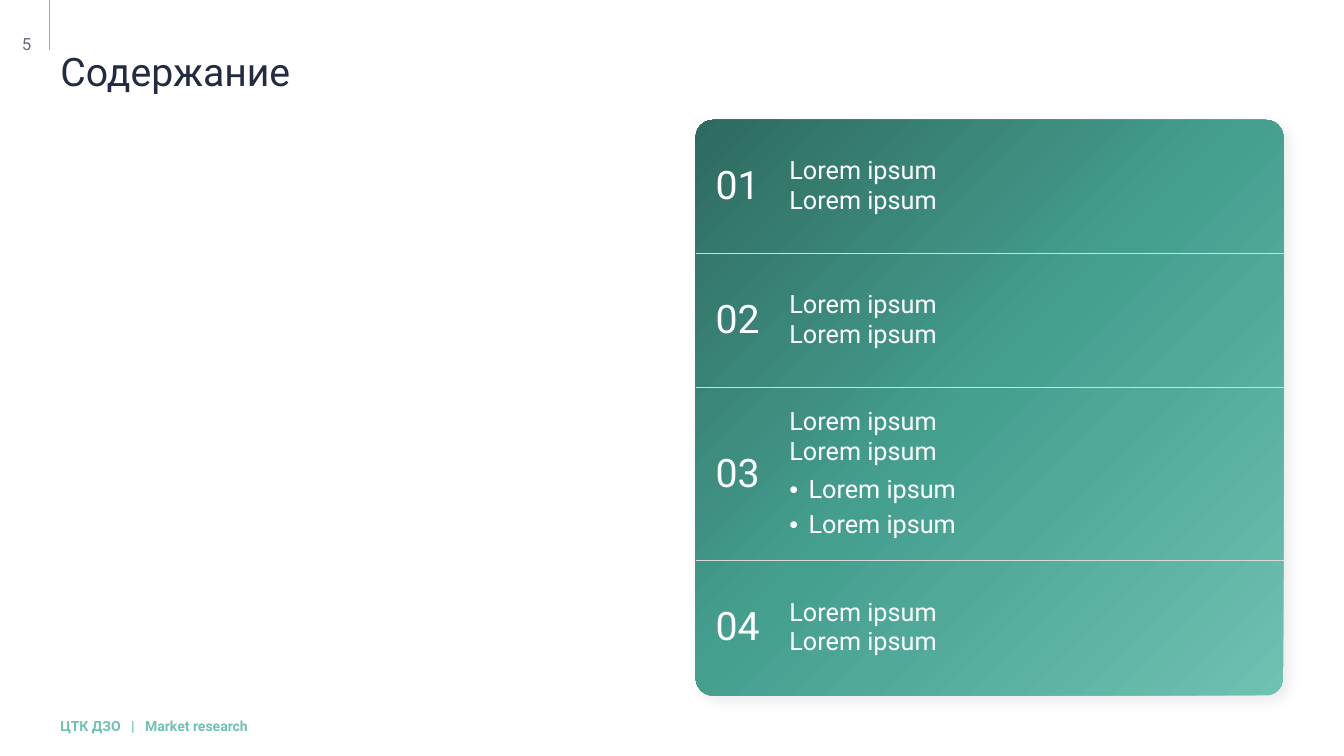
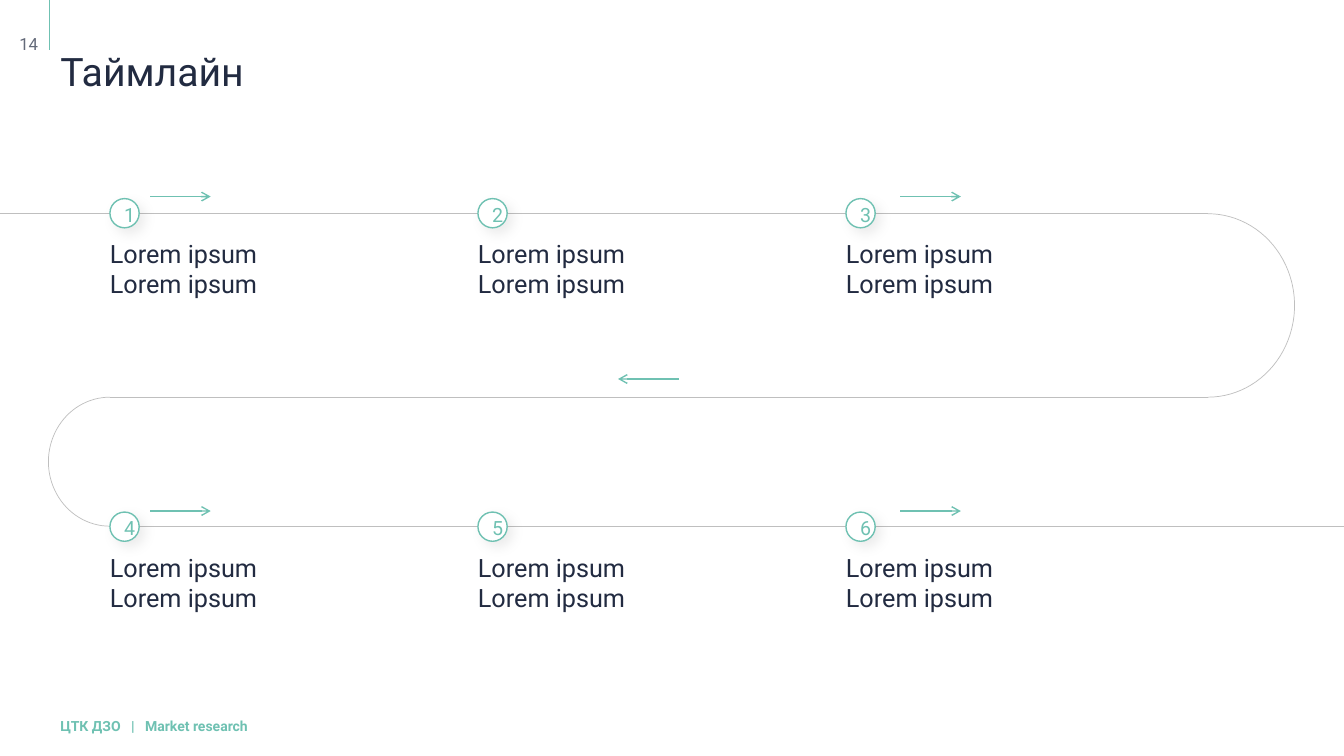
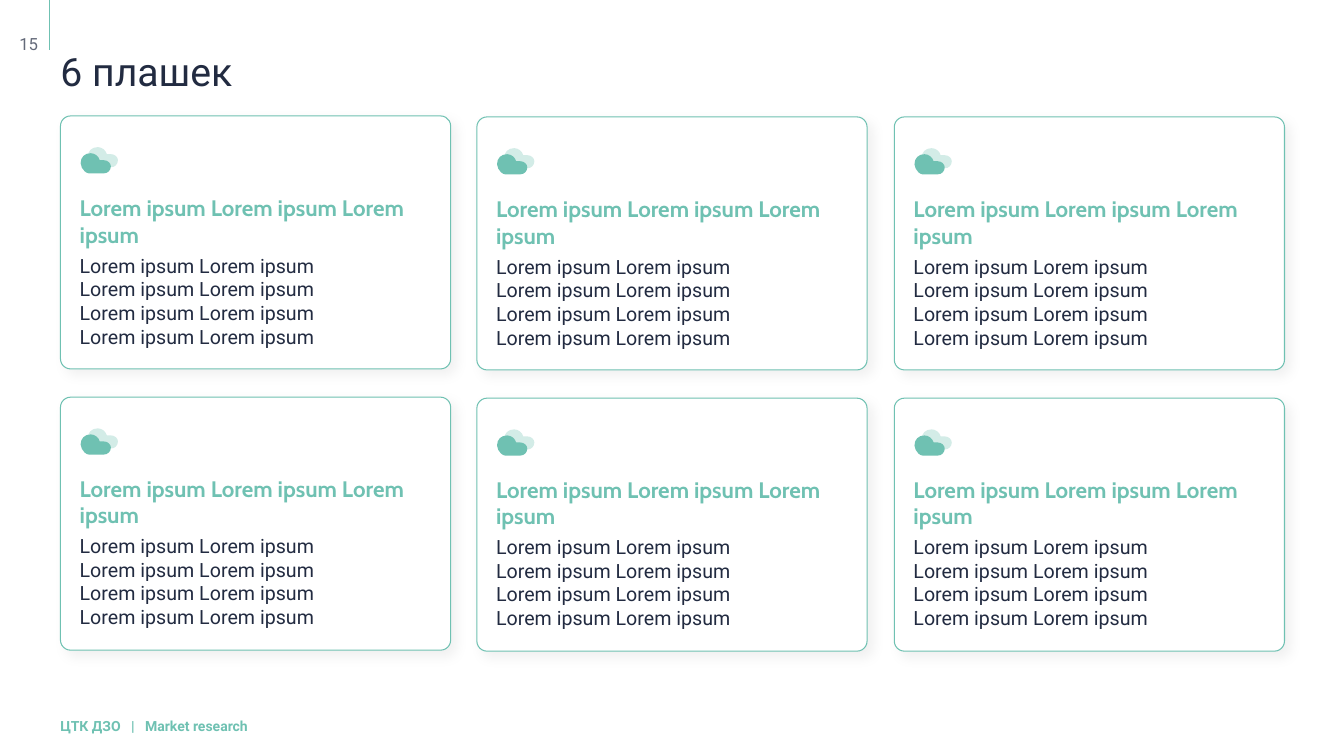
from copy import deepcopy

from lxml.etree import SubElement, fromstring
from pptx import Presentation
from pptx.dml.color import RGBColor
from pptx.enum.shapes import MSO_CONNECTOR, MSO_SHAPE
from pptx.enum.text import MSO_ANCHOR, MSO_AUTO_SIZE, PP_ALIGN
from pptx.oxml.ns import nsdecls, qn
from pptx.util import Emu, Pt

PX = 9144  # EMU in one px, 100 px to the inch
COLORS = {
    "ink": "222B41", "mint": "6FC1B2", "teal": "459F8F", "pine": "2E6A5F",
    "white": "FFFFFF", "track": "BFBFBF", "divider": "D9D9D9",
}
RGB = {name: RGBColor.from_string(value) for name, value in COLORS.items()}
LOREM = "Lorem ipsum"


def px(*lengths):
    return [Emu(length * PX) for length in lengths]


def write(frame, text, size, color, wrap=None):
    """Fill a frame with text; a given wrap also clears the insets."""
    if wrap is not None:
        frame.word_wrap = wrap
        frame.margin_left = frame.margin_right = 0
        frame.margin_top = frame.margin_bottom = 0
    frame.text = text
    for paragraph in frame.paragraphs:
        for run in paragraph.runs:
            run.font.name = "Roboto"
            run.font.size = Pt(size)
            run.font.color.rgb = RGB[color]
    return frame


prs = Presentation()
prs.slide_width, prs.slide_height = px(1333, 750)
raised = []  # (shape, shadow opacity in percent)
faded = []   # (shape, colour opacity in percent)
strokes = []  # (line or bend, colour, width in points)

# Layout: only the title placeholder stays
layout = prs.slide_layouts[5]
for placeholder in list(layout.placeholders):
    if placeholder.placeholder_format.idx:
        placeholder.element.getparent().remove(placeholder.element)
heading = layout.placeholders[0]
heading.left, heading.top, heading.width, heading.height = px(60, 52, 1197, 44)

# Slides with title and page number
slides = []
for title, number, number_x in (("Содержание", 5, 10), ("Таймлайн", 14, 12), ("6 плашек", 15, 12)):
    slide = prs.slides.add_slide(layout)
    slides.append(slide)
    frame = write(slide.shapes.title.text_frame, title, 28, "ink", wrap=True)
    frame.auto_size = MSO_AUTO_SIZE.NONE
    frame.vertical_anchor = MSO_ANCHOR.TOP
    frame.paragraphs[0].alignment = PP_ALIGN.LEFT
    frame.paragraphs[0].line_spacing = 0.9
    if slide is slides[0]:
        # Accent rule and footer, moved to the layout for all slides
        accent = slide.shapes.add_connector(MSO_CONNECTOR.STRAIGHT, *px(49, 0, 49, 50))
        strokes.append((accent, "mint", 1))
        footer = slide.shapes.add_textbox(*px(60, 712, 194, 17))
        frame = write(footer.text_frame, "ЦТК ДЗО\t|\tMarket research", 10, "mint", wrap=False)
        footer_line = frame.paragraphs[0]
        tabs = SubElement(footer_line._p.get_or_add_pPr(), qn("a:tabLst"))
        for stop in (70, 84):
            SubElement(tabs, qn("a:tab"), pos=str(stop * PX), algn="l")
        for run in footer_line.runs:
            run.font.bold = True
        for shared in (accent, footer):
            layout.shapes.element.append(shared.element)
    page = slide.shapes.add_textbox(*px(number_x, 33, 33, 20))
    frame = write(page.text_frame, str(number), 12, "ink", wrap=True)
    frame.vertical_anchor = MSO_ANCHOR.MIDDLE
    frame.paragraphs[0].alignment = PP_ALIGN.CENTER
    faded.append((page, 70))
contents, timeline, cards = slides

# Contents: gradient panel
panel = contents.shapes.add_shape(MSO_SHAPE.ROUNDED_RECTANGLE, *px(690, 119, 583, 571))
panel.adjustments[0] = 0.03
panel.line.fill.background()
panel.fill.gradient()
panel.fill.gradient_angle = 135
stops = panel.element.spPr.find(".//" + qn("a:gsLst"))
stops.insert(1, deepcopy(stops[0]))
blend = ((0, "mint"), (0.52, "teal"), (1, "pine"))
for stop, (position, color) in zip(panel.fill.gradient_stops, blend):
    stop.position = position
    stop.color.rgb = RGB[color]
raised.append((panel, 8))

# Contents: table of sections
row_heights = (133, 133, 172, 133)
agenda = contents.shapes.add_table(4, 2, *px(690, 118, 583, 571))
# the built-in style without fills and grid
agenda.element.find(".//" + qn("a:tableStyleId")).text = "{2D5ABB26-0587-4C30-8999-92F81FD0307C}"
sections = agenda.table
sections.first_row = sections.horz_banding = False
sections.columns[0].width, sections.columns[1].width = px(83, 500)
for index, height in enumerate(row_heights):
    sections.rows[index].height = Emu(height * PX)
    section_number, topics = sections.cell(index, 0), sections.cell(index, 1)
    write(section_number.text_frame, f"{index + 1:02}", 28, "white")
    section_number.text_frame.paragraphs[0].alignment = PP_ALIGN.CENTER
    topic_count = 4 if index == 2 else 2
    write(topics.text_frame, "\n".join([LOREM] * topic_count), 18, "white")
    for bullet in topics.text_frame.paragraphs[2:]:
        properties = bullet._p.get_or_add_pPr()
        properties.set("marL", str(19 * PX))
        properties.set("indent", str(-19 * PX))
        SubElement(properties, qn("a:buFont"), typeface="Arial")
        SubElement(properties, qn("a:buChar"), char="•")
        bullet.space_after = Pt(4)
    if topic_count > 2:
        topics.text_frame.paragraphs[1].space_after = Pt(6)
    for cell in (section_number, topics):
        cell.vertical_anchor = MSO_ANCHOR.MIDDLE
        cell.fill.background()
        edges = [("a:lnT", index > 0), ("a:lnB", index < 3)]
        for place, edge in enumerate(tag for tag, inner in edges if inner):
            border = fromstring(
                f'<{edge} {nsdecls("a")} w="6350"><a:solidFill>'
                f'<a:srgbClr val="{COLORS["divider"]}"/></a:solidFill></{edge}>')
            cell._tc.get_or_add_tcPr().insert(place, border)

# Timeline: winding track
for x1, x2, y in ((0, 1198, 212), (109, 1198, 394), (109, 1333, 522)):
    track = timeline.shapes.add_connector(MSO_CONNECTOR.STRAIGHT, *px(x1, y, x2, y))
    strokes.append((track, "track", 0.5))
for kind, place in ((MSO_SHAPE.RIGHT_BRACKET, (1198, 212, 86, 182)),
                    (MSO_SHAPE.LEFT_BRACKET, (48, 394, 61, 128))):
    bend = timeline.shapes.add_shape(kind, *px(*place))
    bend.adjustments[0] = 4.4
    bend.fill.background()
    strokes.append((bend, "track", 0.5))

# Timeline: six numbered steps
for step in range(6):
    row, column = divmod(step, 3)
    x, y = 109 + 365 * column, 197 + 311 * row
    label = timeline.shapes.add_textbox(*px(x, y + 39 + row, 149, 61))
    write(label.text_frame, f"{LOREM}\n{LOREM}", 18, "ink", wrap=False)
    marker = timeline.shapes.add_shape(MSO_SHAPE.OVAL, *px(x, y, 29, 29))
    marker.fill.solid()
    marker.fill.fore_color.rgb = RGB["white"]
    marker.line.color.rgb = RGB["mint"]
    marker.line.width = Pt(1)
    frame = write(marker.text_frame, str(step + 1), 14, "mint")
    frame.margin_top, frame.margin_bottom = px(2, 0)
    frame.vertical_anchor = MSO_ANCHOR.MIDDLE
    frame.paragraphs[0].alignment = PP_ALIGN.CENTER
    raised.append((marker, 8))

# Timeline: direction arrows
for x1, x2, y in ((149, 209, 195), (893, 953, 195), (673, 613, 376), (149, 209, 507), (893, 953, 507)):
    arrow = timeline.shapes.add_connector(MSO_CONNECTOR.STRAIGHT, *px(x1, y, x2, y))
    SubElement(arrow.line._get_or_add_ln(), qn("a:tailEnd"), type="arrow")
    strokes.append((arrow, "mint", 1))

for stroke, color, width in strokes:
    stroke.line.color.rgb = RGB[color]
    stroke.line.width = Pt(width)
    SubElement(stroke.element.spPr, qn("a:effectLst"))

# Cards: cloud outline as Bezier curves; a lone point ends a straight edge
cloud_start = (4, 18)
cloud_edges = (
    ((2, 16), (0, 13), (0, 10)), ((0, 4), (4, 0), (10, 0)), ((14, 0), (18, 3), (19, 7)),
    ((23, 7),), ((27, 7), (30, 10), (30, 13)), ((30, 17), (27, 20), (23, 20)),
    ((8, 20),), ((7, 20), (5, 19), (4, 18)),
)

# Cards: grid of six
for index in range(6):
    row, column = divmod(index, 3)
    x, y = 60 + 827 * column // 2, 115 + 279 * row + (column > 0)
    group = cards.shapes.add_group_shape()
    card = group.shapes.add_shape(MSO_SHAPE.ROUNDED_RECTANGLE, *px(x, y, 387, 251))
    card.adjustments[0] = 0.04
    card.fill.solid()
    card.fill.fore_color.rgb = RGB["white"]
    card.line.color.rgb = RGB["mint"]
    card.line.width = Pt(0.75)
    raised.append((card, 5))

    summary = group.shapes.add_textbox(*px(x + 19, y + 78 - row, 348, 154))
    pair = f"{LOREM} {LOREM}"
    body = f"{pair} \v{pair}\v{pair} \v{pair}"
    frame = write(summary.text_frame, f"{pair} {LOREM}\n{body}", 14, "ink", wrap=True)
    for paragraph in frame.paragraphs:
        paragraph.space_after = Pt(4)
        for line_break in paragraph._p.findall(qn("a:br")):
            line_break.append(deepcopy(paragraph.runs[0].font._element))
    headline = frame.paragraphs[0].runs[0].font
    headline.name, headline.size, headline.bold = "Cabin", Pt(16), True
    headline.color.rgb = RGB["mint"]

    for dx, dy, opacity in ((27, 31, 30), (20, 37, 100)):
        builder = group.shapes.build_freeform(*cloud_start, scale=PX)
        builder.add_line_segments([edge[-1] for edge in cloud_edges], close=True)
        cloud = builder.convert_to_shape(*px(x + dx, y + dy))
        # round the curved edges
        for segment, edge in zip(list(cloud.element.iter(qn("a:lnTo"))), cloud_edges):
            if len(edge) == 3:
                curve = "".join(f'<a:pt x="{cx}" y="{cy}"/>' for cx, cy in edge)
                segment.getparent().replace(segment, fromstring(
                    f'<a:cubicBezTo {nsdecls("a")}>{curve}</a:cubicBezTo>'))
        cloud.shadow.inherit = False
        cloud.fill.solid()
        cloud.fill.fore_color.rgb = RGB["mint"]
        cloud.line.fill.background()
        if opacity < 100:
            faded.append((cloud, opacity))

# Soft shadows and transparency
for shape, opacity in raised:
    shape.element.spPr.append(fromstring(
        f'<a:effectLst {nsdecls("a")}><a:outerShdw blurRad="{Pt(9)}" dist="{Pt(5)}" dir="2700000" '
        f'algn="tl" rotWithShape="0"><a:srgbClr val="000000"><a:alpha val="{opacity * 1000}"/>'
        '</a:srgbClr></a:outerShdw></a:effectLst>'))
for shape, opacity in faded:
    tint = next(shape.element.iter(qn("a:srgbClr")))
    SubElement(tint, qn("a:alpha"), val=str(opacity * 1000))

prs.save("out.pptx")
